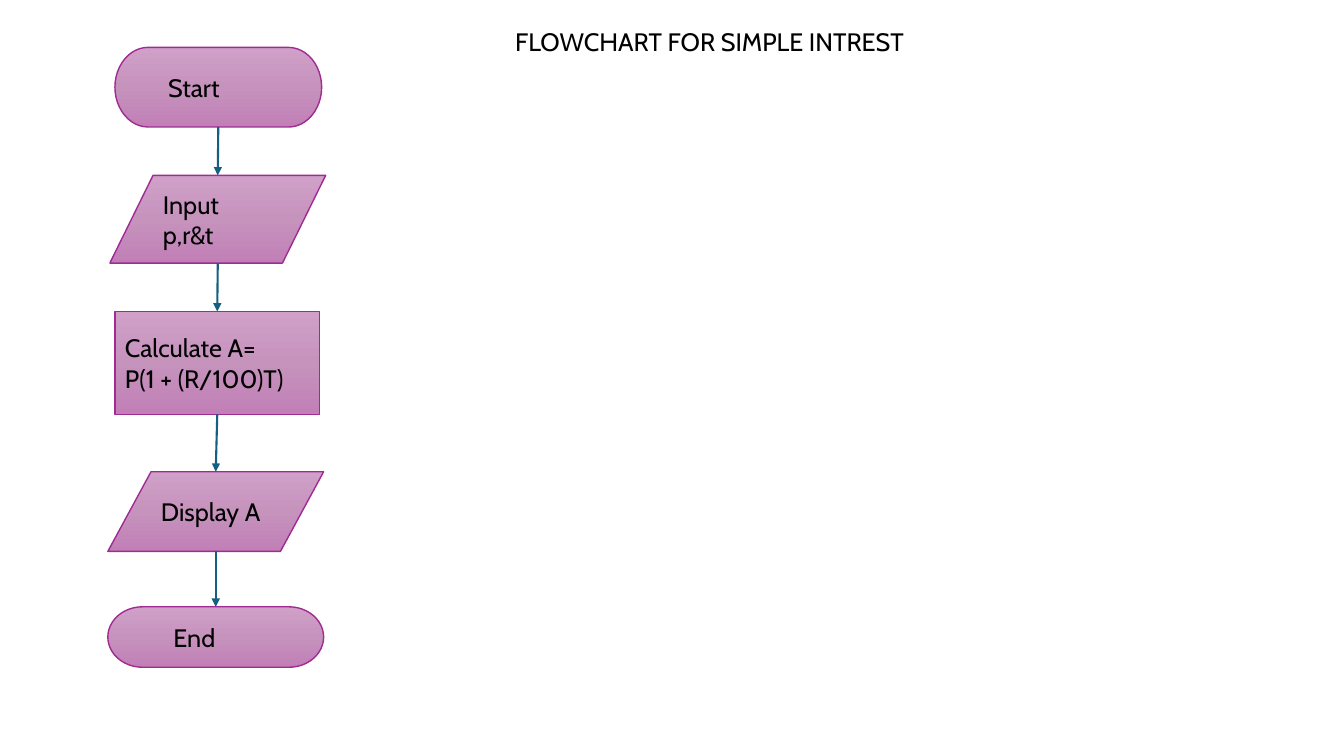
import copy

import pptx
import pptx.dml.color
import pptx.enum.dml
import pptx.enum.shapes
import pptx.enum.text
import pptx.oxml
import pptx.oxml.ns
import pptx.util

EMU_PER_PX = 9144
KINDS = pptx.enum.shapes.MSO_SHAPE
ALIGN = pptx.enum.text.PP_ALIGN
ANCHOR = pptx.enum.text.MSO_ANCHOR
TOP, BOTTOM = 0, 2


def px(length):
    return pptx.util.Emu(length * EMU_PER_PX)


def color(hex_string):
    return pptx.dml.color.RGBColor.from_string(hex_string)


def tag(name):
    return pptx.oxml.ns.qn(name)


def write(frame, text, font="Cabin", size=18, ink="000000",
          align=ALIGN.LEFT, anchor=ANCHOR.TOP, margin_left=10):
    frame.word_wrap = True
    frame.auto_size = pptx.enum.text.MSO_AUTO_SIZE.NONE
    frame.vertical_anchor = anchor
    frame.margin_left, frame.margin_right = px(margin_left), px(10)
    frame.margin_top = frame.margin_bottom = px(5)
    frame.text = text
    for paragraph in frame.paragraphs:
        paragraph.alignment = align
        for run in paragraph.runs:
            run.font.name = font
            run.font.size = pptx.util.Pt(size)
            run.font.color.rgb = color(ink)


class Flowchart:
    gradient = [(0, "D0A0C8"), (0.5, "C693BD"), (1, "C17FB6")]
    outline = "A02B93"
    arrow_color = "156082"

    def __init__(self, slide):
        self.slide = slide

    def title(self, text, left, top, width, height):
        heading = self.slide.shapes.title
        heading.left, heading.top = px(left), px(top)
        heading.width, heading.height = px(width), px(height)
        write(heading.text_frame, text)

    def step(self, kind, text, left, top, width, height, margin_left=10):
        step = self.slide.shapes.add_shape(
            kind, px(left), px(top), px(width), px(height))
        step.shadow.inherit = False
        step.fill.gradient()
        step.fill.gradient_angle = 270
        stop_list = step.fill.gradient_stops
        stops = step._element.spPr.find(tag("a:gradFill")).find(tag("a:gsLst"))
        stops.insert(1, copy.deepcopy(stops[0]))
        stop_list = step.fill.gradient_stops
        for stop, (position, shade) in zip(stop_list, self.gradient):
            stop.position = position
            stop.color.rgb = color(shade)
        step.line.color.rgb = color(self.outline)
        step.line.width = pptx.util.Pt(1)
        write(step.text_frame, text, align=ALIGN.JUSTIFY,
              anchor=ANCHOR.MIDDLE, margin_left=margin_left)
        return step

    def arrow(self, source, target):
        arrow = self.slide.shapes.add_connector(
            pptx.enum.shapes.MSO_CONNECTOR.STRAIGHT,
            source.left + source.width // 2, source.top + source.height,
            target.left + target.width // 2, target.top)
        slanted = KINDS.FLOWCHART_DATA
        if source.auto_shape_type != slanted:
            arrow.begin_connect(source, BOTTOM)
        if target.auto_shape_type != slanted:
            arrow.end_connect(target, TOP)
        arrow.line.color.rgb = color(self.arrow_color)
        arrow.line.width = pptx.util.Pt(1.5)
        properties = arrow._element.spPr
        head = pptx.oxml.parse_xml(
            f'<a:tailEnd {pptx.oxml.ns.nsdecls("a")} type="triangle"/>')
        properties.find(tag("a:ln")).append(head)
        properties.append(pptx.oxml.parse_xml(
            f'<a:effectLst {pptx.oxml.ns.nsdecls("a")}/>'))


def main():
    deck = pptx.Presentation()
    deck.slide_width, deck.slide_height = px(1333), px(750)
    chart = Flowchart(deck.slides.add_slide(deck.slide_layouts[5]))

    chart.title("FLOWCHART FOR SIMPLE INTREST", 501, 21, 528, 40)
    steps = [
        chart.step(KINDS.FLOWCHART_TERMINATOR, "Start",
                   114, 47, 205, 79, margin_left=43),
        chart.step(KINDS.FLOWCHART_DATA, "Input p,r&t", 109, 174, 214, 87),
        chart.step(KINDS.FLOWCHART_PROCESS, "Calculate A=\nP(1 + (R/100)T)",
                   114, 309, 203, 102),
        chart.step(KINDS.FLOWCHART_DATA, "Display A", 107, 468, 214, 79),
        chart.step(KINDS.FLOWCHART_TERMINATOR, "End",
                   107, 602, 214, 60, margin_left=55),
    ]
    for source, target in zip(steps, steps[1:]):
        chart.arrow(source, target)

    deck.save("out.pptx")


if __name__ == "__main__":
    main()
